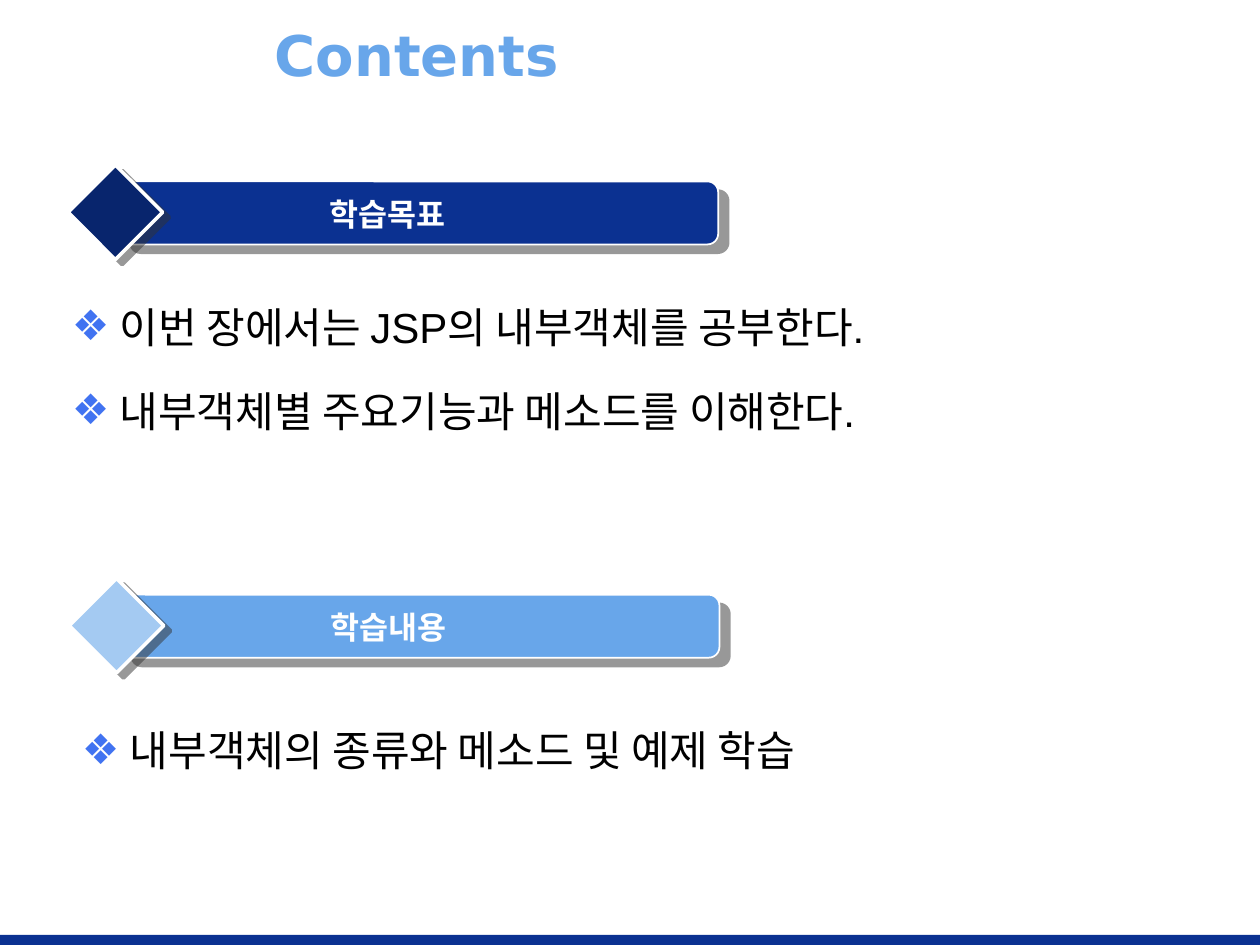
from lxml import etree
from pptx import Presentation
from pptx.dml.color import RGBColor
from pptx.enum.shapes import MSO_SHAPE
from pptx.enum.text import MSO_ANCHOR, MSO_AUTO_SIZE, PP_ALIGN
from pptx.oxml import parse_xml
from pptx.oxml.ns import nsdecls, qn
from pptx.util import Inches, Pt

COLORS = {
    "navy": "0B3191", "dark": "08256D", "blue": "68A6EA", "pale": "A4CAF2",
    "bullet": "4173F1", "white": "FFFFFF", "black": "000000", "shadow": "333333",
}
TITLE = "Contents"
SECTIONS = [
    {"heading": "학습목표", "origin": (0.54, 1.31), "bar": "navy", "diamond": "dark",
     "body": (0.47, 2.14, 8.91, 1.95), "font": "Arial",
     "items": ["이번 장에서는 JSP의 내부객체를 공부한다.",
               "내부객체별 주요기능과 메소드를 이해한다."]},
    {"heading": "학습내용", "origin": (0.55, 4.59), "bar": "blue", "diamond": "pale",
     "body": (0.55, 5.5, 8.05, 1.8), "font": "DejaVu Sans",
     "items": ["내부객체의 종류와 메소드 및 예제 학습"]},
]


def rgb(name):
    return RGBColor.from_string(COLORS[name])


def place(sp, box):
    sp.left, sp.top, sp.width, sp.height = (Inches(v) for v in box)


def write(p, text, size=18, font="Arial", color="black", bold=False, align=PP_ALIGN.LEFT):
    p.alignment = align
    r = p.add_run()
    r.text = text
    r.font.size, r.font.name, r.font.bold = Pt(size), font, bold
    r.font.color.rgb = rgb(color)


def add_block(shapes, kind, box, fill, line=None, shadow=None):
    sp = shapes.add_shape(kind, *(Inches(v) for v in box))
    sp.fill.solid()
    sp.fill.fore_color.rgb = rgb(fill)
    if line:
        sp.line.color.rgb = rgb("white")
        sp.line.width = Pt(line)
    else:
        sp.line.fill.background()
    sp.shadow.inherit = False
    if shadow:
        dist, angle = shadow
        sp._element.spPr.find(qn("a:effectLst")).append(parse_xml(
            f'<a:outerShdw {nsdecls("a")} dist="{Pt(dist)}" dir="{angle * 60000}" '
            f'algn="ctr" rotWithShape="0"><a:srgbClr val="{COLORS["shadow"]}">'
            '<a:alpha val="50000"/></a:srgbClr></a:outerShdw>'))
    return sp


def add_bullet(p):
    p.line_spacing = 1.5
    pPr = p._p.get_or_add_pPr()
    pPr.set("marL", str(Inches(0.38)))
    pPr.set("indent", str(-Inches(0.38)))
    color = etree.SubElement(pPr, qn("a:buClr"))
    etree.SubElement(color, qn("a:srgbClr"), val=COLORS["bullet"])
    etree.SubElement(pPr, qn("a:buChar"), char="❖")


def add_heading(s, section):
    x, y = section["origin"]
    shapes = s.shapes.add_group_shape().shapes
    bar = add_block(shapes, MSO_SHAPE.ROUNDED_RECTANGLE, (x + 0.41, y + 0.13, 4.75, 0.5),
                    section["bar"], line=1, shadow=(7.8, 40))
    bar.adjustments[0] = 0.17
    add_block(shapes, MSO_SHAPE.DIAMOND, (x, y, 0.75, 0.75),
              section["diamond"], line=2, shadow=(5, 37))
    box = (x + 0.66, y + 0.19, 3.75, 0.4)
    tf = shapes.add_textbox(*(Inches(v) for v in box)).text_frame
    tf.word_wrap = True
    tf.auto_size = MSO_AUTO_SIZE.SHAPE_TO_FIT_TEXT
    write(tf.paragraphs[0], section["heading"], color="white", bold=True,
          align=PP_ALIGN.CENTER)


def add_list(sp, section):
    place(sp, section["body"])
    tf = sp.text_frame
    tf.auto_size = MSO_AUTO_SIZE.NONE
    for i, item in enumerate(section["items"]):
        p = tf.add_paragraph() if i else tf.paragraphs[0]
        add_bullet(p)
        write(p, item, size=24, font=section["font"])


def main():
    prs = Presentation()
    prs.slide_width, prs.slide_height = Inches(10), Inches(7.5)
    s = prs.slides.add_slide(prs.slide_layouts[3])
    add_block(s.shapes, MSO_SHAPE.RECTANGLE, (0, 7.42, 10, 0.08), "navy")

    title = s.shapes.title
    place(title, (2.08, 0.12, 7.17, 0.62))
    tf = title.text_frame
    tf.auto_size = MSO_AUTO_SIZE.NONE
    tf.vertical_anchor = MSO_ANCHOR.MIDDLE
    write(tf.paragraphs[0], TITLE, size=32, font="DejaVu Sans", color="blue", bold=True)

    for i, section in enumerate(SECTIONS, 1):
        add_heading(s, section)
        add_list(s.placeholders[i], section)
    prs.save("out.pptx")


if __name__ == "__main__":
    main()
